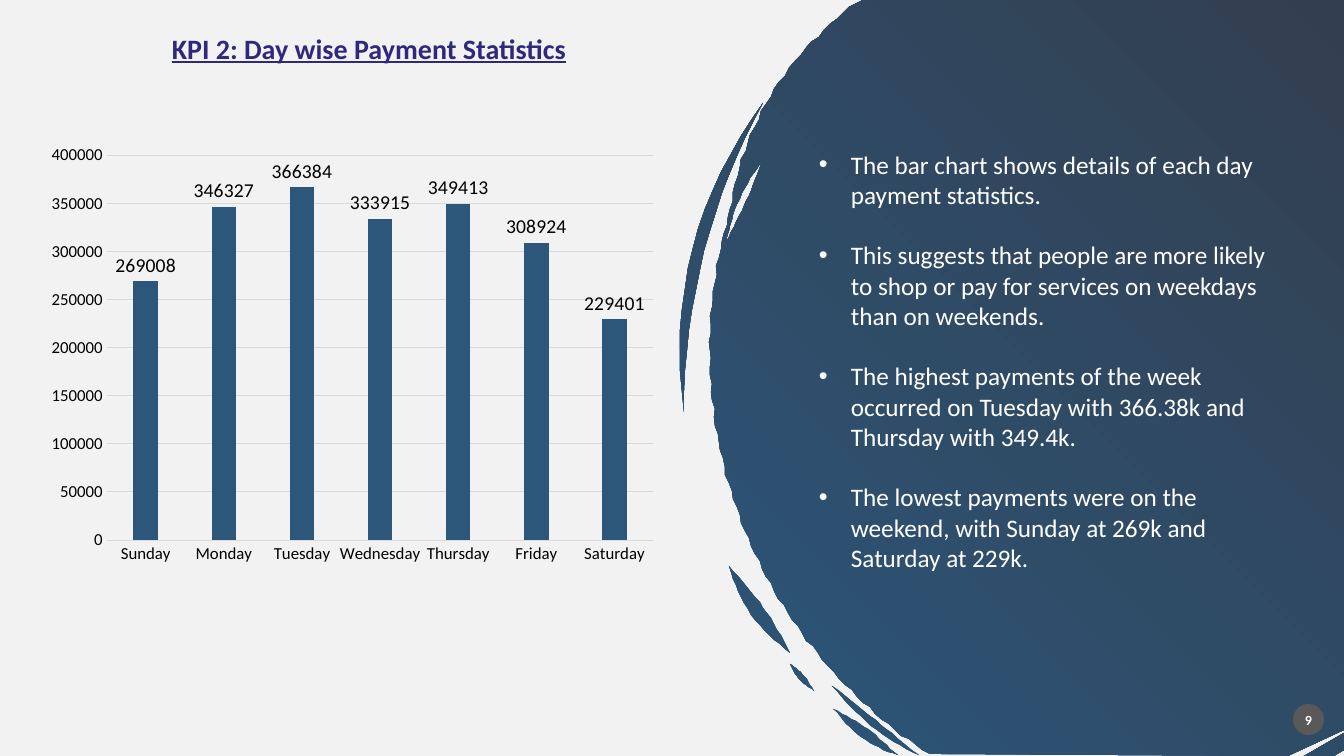
from math import cos, pi, radians, sin

from pptx import Presentation
from pptx.chart.data import CategoryChartData
from pptx.dml.color import RGBColor
from pptx.enum.chart import XL_CHART_TYPE, XL_LABEL_POSITION, XL_TICK_MARK
from pptx.enum.shapes import MSO_SHAPE
from pptx.enum.text import MSO_ANCHOR, MSO_AUTO_SIZE, PP_ALIGN
from pptx.oxml import parse_xml
from pptx.oxml.ns import nsdecls
from pptx.util import Pt

COLUMNS = XL_CHART_TYPE.COLUMN_CLUSTERED
OUTSIDE = XL_LABEL_POSITION.OUTSIDE_END
NO_TICK = XL_TICK_MARK.NONE
OVAL = MSO_SHAPE.OVAL
CENTER = PP_ALIGN.CENTER
TOP, MIDDLE = MSO_ANCHOR.TOP, MSO_ANCHOR.MIDDLE
NO_AUTOSIZE = MSO_AUTO_SIZE.NONE

# Content
TITLE = "KPI 2: Day wise Payment Statistics"
PAGE_NUMBER = "9"
PAYMENTS = {
    "Sunday": 269008, "Monday": 346327, "Tuesday": 366384, "Wednesday": 333915,
    "Thursday": 349413, "Friday": 308924, "Saturday": 229401,
}
FINDINGS = [
    "The bar chart shows details of each day payment statistics.",
    "This suggests that people are more likely to shop or pay for services on "
    "weekdays than on weekends.",
    "The highest payments of the week occurred on Tuesday with 366.38k and "
    "Thursday with 349.4k.",
    "The lowest payments were on the weekend, with Sunday at 269k and "
    "Saturday at 229k.",
]

# Places in px: left, top, width, height
SLIDE_WIDTH, SLIDE_HEIGHT = 1344, 756
TITLE_BOX = 6, 26, 726, 44
CHART_BOX = 38, 131, 648, 493
FINDINGS_BOX = 809, 144, 470, 468
BADGE_BOX = 1293, 704, 31, 31
BULLET_INDENT = 32
PLOT_AREA = {"x": 0.106, "y": 0.049, "w": 0.844, "h": 0.781}

# Brush circle; angles in degrees above its leftmost point
CENTER_X, CENTER_Y, RADIUS = 1192, 350, 482
BODY_TOP, BODY_BOTTOM, BULGE_START = 47, -57, 16
# Strokes: start angle, end angle, start radius, end radius, thickness
STROKES = [
    (-7, 30, 512, 495, 12),
    (13, 24, 478, 469, 7),
    (-25, -37, 511, 503, 14),
    (-38, -42, 510, 509, 6),
    (-43, -56, 492, 489, 7),
    (-45, -54, 507, 501, 10),
]

PX = 914400 / 100.8
FONT = "Calibri"
BLUE, WHITE, BLACK, GRID = "2C567A", "FFFFFF", "000000", "D9D9D9"


def px(*lengths):
    return [round(length * PX) for length in lengths]


def rgb(color):
    return RGBColor.from_string(color)


def set_font(font, size, color, bold=False):
    font.name, font.size, font.bold = FONT, Pt(size), bold
    font.color.rgb = rgb(color)


def set_line(line, color):
    line.color.rgb = rgb(color)
    line.width = Pt(0.75)


def brush_point(angle, radius):
    x = CENTER_X - radius * cos(radians(angle))
    y = CENTER_Y - radius * sin(radians(angle))
    return round(x), min(max(round(y), 0), SLIDE_HEIGHT)


def body_contour():
    points = []
    for angle in range(BODY_TOP, BODY_BOTTOM - 1, -1):
        rise = max(angle - BULGE_START, 0) / (BODY_TOP - BULGE_START)
        points.append(brush_point(angle, RADIUS + 10 * sin(pi * rise) + sin(2 * angle)))
    corner = [(1288, SLIDE_HEIGHT), (SLIDE_WIDTH, 730), (SLIDE_WIDTH, 0)]
    return points + corner


def stroke_contour(start, end, start_radius, end_radius, thickness, steps=16):
    outer, inner = [], []
    for step in range(steps + 1):
        part = step / steps
        angle = start + (end - start) * part
        radius = start_radius + (end_radius - start_radius) * part
        half = thickness / 2 * sin(pi * part)
        outer.append(brush_point(angle, radius + half))
        inner.append(brush_point(angle, radius - half))
    return outer + inner[::-1]


presentation = Presentation()
presentation.slide_width, presentation.slide_height = px(SLIDE_WIDTH, SLIDE_HEIGHT)
slide = presentation.slides.add_slide(presentation.slide_layouts[5])
shapes = slide.shapes
slide.background.fill.solid()
slide.background.fill.fore_color.rgb = rgb("F2F2F2")

# Brush circle with a gradient spreading from the top right corner
body = body_contour()
corner_sliver = [(1304, 756), (1344, 733), (1344, 750), (1334, 756)]
builder = shapes.build_freeform(*body[0], scale=PX)
builder.add_line_segments(body[1:])
for contour in [stroke_contour(*stroke) for stroke in STROKES] + [corner_sliver]:
    builder.move_to(*contour[0])
    builder.add_line_segments(contour[1:])
brush = builder.convert_to_shape()
brush.shadow.inherit = False
brush.line.fill.background()
brush._element.spPr.insert(2, parse_xml(
    f'<a:gradFill {nsdecls("a")} rotWithShape="1"><a:gsLst>'
    '<a:gs pos="0"><a:srgbClr val="333F50"/></a:gs>'
    f'<a:gs pos="100000"><a:srgbClr val="{BLUE}"/></a:gs></a:gsLst>'
    '<a:path path="circle"><a:fillToRect l="100000" b="100000"/></a:path>'
    '</a:gradFill>'))

# Page number badge
badge = shapes.add_shape(OVAL, *px(*BADGE_BOX))
badge.shadow.inherit = False
badge.fill.solid()
badge.fill.fore_color.rgb = rgb("595959")
badge.line.fill.background()
frame = badge.text_frame
frame.margin_left = frame.margin_right = frame.margin_top = frame.margin_bottom = 0
frame.vertical_anchor = MIDDLE
frame.word_wrap = False
paragraph = frame.paragraphs[0]
paragraph.text = PAGE_NUMBER
paragraph.alignment = CENTER
set_font(paragraph.font, 10, WHITE, bold=True)

# Findings
frame = shapes.add_textbox(*px(*FINDINGS_BOX)).text_frame
frame.word_wrap = True
indent = px(BULLET_INDENT)[0]
for index, finding in enumerate(FINDINGS):
    paragraph = frame.paragraphs[0] if index == 0 else frame.add_paragraph()
    paragraph.text = finding
    paragraph.space_before = Pt(21.6 if index else 0)
    set_font(paragraph.font, 18, WHITE)
    properties = paragraph._p.get_or_add_pPr()
    properties.set("marL", str(indent))
    properties.set("indent", str(-indent))
    for bullet in ('buFont {} typeface="Arial"', 'buChar {} char="•"'):
        element = parse_xml(f'<a:{bullet.format(nsdecls("a"))}/>')
        properties.insert_element_before(element, "a:tabLst", "a:defRPr", "a:extLst")

# Title
title = shapes.title
title.left, title.top, title.width, title.height = px(*TITLE_BOX)
frame = title.text_frame
frame.auto_size = NO_AUTOSIZE
frame.vertical_anchor = TOP
paragraph = frame.paragraphs[0]
paragraph.text = TITLE
paragraph.alignment = CENTER
set_font(paragraph.font, 20, "2F297D", bold=True)
paragraph.font.underline = True

# Payments chart
data = CategoryChartData()
data.categories = list(PAYMENTS)
data.add_series("Series 1", list(PAYMENTS.values()))
chart = shapes.add_chart(COLUMNS, *px(*CHART_BOX), data).chart
chart.has_legend = chart.has_title = False
set_font(chart.font, 10, BLACK)

plot = chart.plots[0]
plot.gap_width, plot.overlap = 219, -27
plot.vary_by_categories = False
fill = plot.series[0].format.fill
fill.solid()
fill.fore_color.rgb = rgb(BLUE)
plot.has_data_labels = True
labels = plot.data_labels
labels.show_value = True
labels.position = OUTSIDE
set_font(labels.font, 14, BLACK)

category_axis, value_axis = chart.category_axis, chart.value_axis
for axis in (category_axis, value_axis):
    axis.major_tick_mark = axis.minor_tick_mark = NO_TICK
    set_font(axis.tick_labels.font, 12, BLACK)
set_line(category_axis.format.line, GRID)
value_axis.format.line.fill.background()
value_axis.minimum_scale, value_axis.maximum_scale = 0, 400000
value_axis.major_unit = 50000
set_line(value_axis.major_gridlines.format.line, GRID)

# Fixed place of the plot inside the chart
plot_area = chart._chartSpace.chart.plotArea
for old_layout in plot_area.findall("{*}layout"):
    plot_area.remove(old_layout)
modes = '<c:xMode val="edge"/><c:yMode val="edge"/>'
sizes = "".join(f'<c:{name} val="{value}"/>' for name, value in PLOT_AREA.items())
plot_area.insert(0, parse_xml(
    f'<c:layout {nsdecls("c")}><c:manualLayout><c:layoutTarget val="inner"/>'
    f'{modes}{sizes}</c:manualLayout></c:layout>'))

presentation.save("out.pptx")
